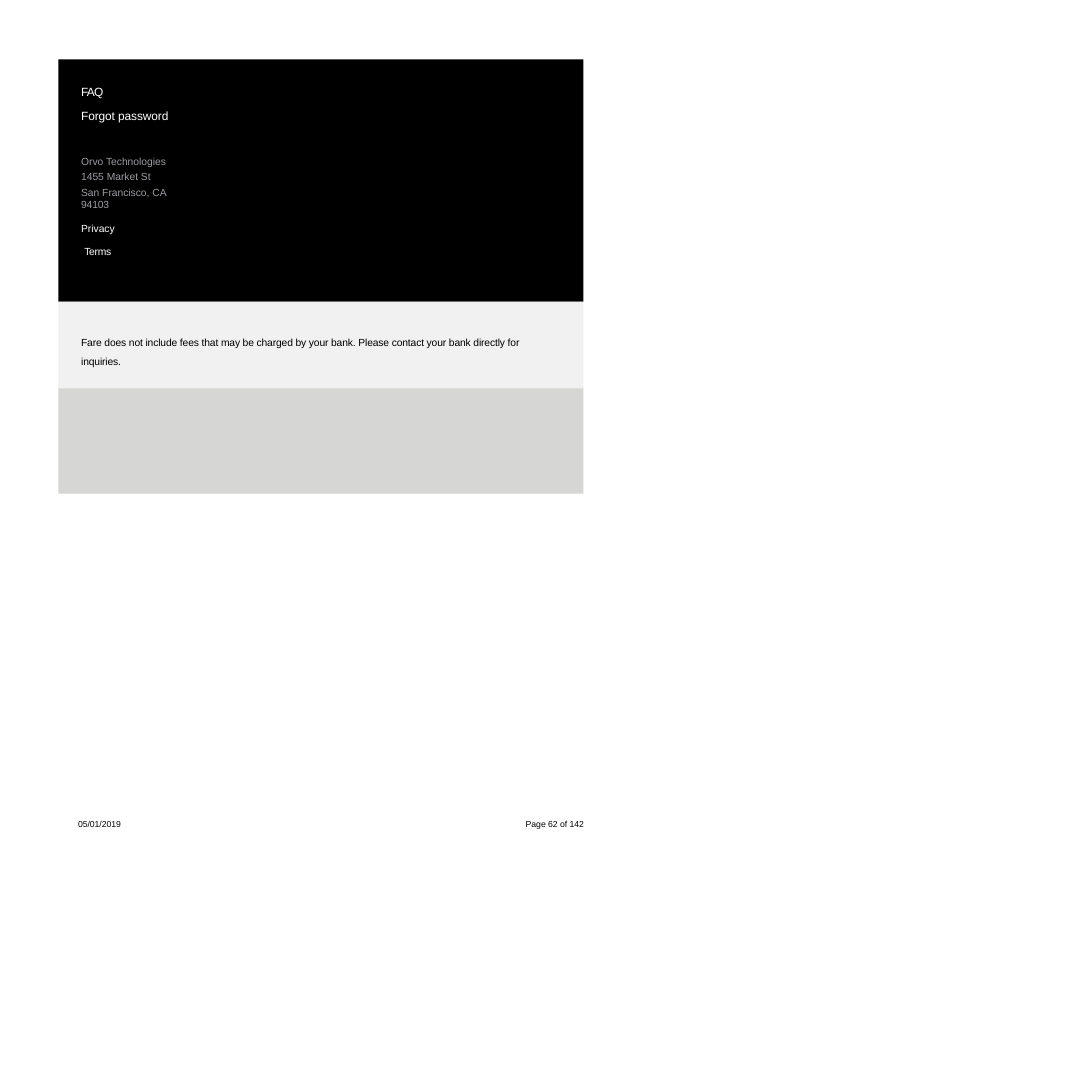
import pptx
import pptx.dml.color
import pptx.enum.shapes
import pptx.enum.text
import pptx.util
from pptx.util import Inches

COLORS = {
    "black": "000000",
    "white": "FFFFFF",
    "address": "9D9DA3",
    "notice": "F1F1F1",
    "band": "D6D6D5",
}
PANEL_LEFT, PANEL_WIDTH = 0.75, 6.73

# Text, size, colour, space before, left indent in inches, letter spacing
FOOTER_LINES = [
    ("FAQ", 11, "white", 0, 0, -0.7),
    ("Forgot password", 11, "white", 9.1, 0, -0.1),
    ("Orvo Technologies", 9.5, "address", 29.7, 0, 0),
    ("1455 Market St", 9.5, "address", 2.9, 0, 0),
    ("San Francisco, CA", 9.5, "address", 2.9, 0, 0),
    ("94103", 9.5, "address", 0, 0, -0.1),
    ("Privacy", 9.5, "white", 10.5, 0, 0),
    ("Terms", 9.5, "white", 10.2, 0.04, -0.2),
]
NOTICE = ("Fare does not include fees that may be charged by your bank. "
          "Please contact your bank directly for inquiries.")


def rgb(name):
    return pptx.dml.color.RGBColor.from_string(COLORS[name])


def style_paragraph(para, size, color, before=0, spacing=0):
    para.alignment = pptx.enum.text.PP_ALIGN.LEFT
    para.space_before = pptx.util.Pt(before)
    for span in para.runs:
        span.font.name = "Arial"
        span.font.size = pptx.util.Pt(size)
        span.font.color.rgb = rgb(color)
        span.font._element.set("spc", str(round(spacing * 100)))


def set_frame(frame, left=0, top=0, right=0, wrap=True):
    frame.margin_left, frame.margin_top = Inches(left), Inches(top)
    frame.margin_right, frame.margin_bottom = Inches(right), 0
    frame.vertical_anchor = pptx.enum.text.MSO_ANCHOR.TOP
    frame.auto_size = pptx.enum.text.MSO_AUTO_SIZE.NONE
    frame.word_wrap = wrap


def add_panel(page, top, height, color):
    panel = page.shapes.add_shape(
        pptx.enum.shapes.MSO_SHAPE.RECTANGLE, Inches(PANEL_LEFT),
        Inches(top), Inches(PANEL_WIDTH), Inches(height))
    panel.shadow.inherit = False
    panel.fill.solid()
    panel.fill.fore_color.rgb = rgb(color)
    panel.line.fill.background()
    return panel


def fill_list(page, body):
    body.left, body.top = Inches(1.04), Inches(1.06)
    body.width, body.height = Inches(1.52), Inches(2.4)
    frame = body.text_frame
    set_frame(frame, top=0.02)
    frame.text = "\n".join(line[0] for line in FOOTER_LINES)
    for para, line in zip(frame.paragraphs, FOOTER_LINES):
        text, size, color, before, indent, spacing = line
        properties = para._p.get_or_add_pPr()
        properties.set("marL", str(Inches(indent)))
        properties.set("indent", "0")
        pptx.oxml.ns.qn("a:buNone")
        properties.append(pptx.oxml.parse_xml(
            "<a:buNone %s/>" % pptx.oxml.ns.nsdecls("a")))
        style_paragraph(para, size, color, before, spacing)
    # Bring the list in front of the panels
    page.shapes._spTree.append(body._element)


def add_notice(page):
    panel = add_panel(page, 3.87, 1.11, "notice")
    frame = panel.text_frame
    set_frame(frame, left=0.29, top=0.36, right=0.6)
    frame.text = NOTICE
    frame.paragraphs[0].line_spacing = 1.52
    style_paragraph(frame.paragraphs[0], 9.5, "black", spacing=-0.12)


def add_page_label(page, text, left, width):
    box = page.shapes.add_textbox(
        Inches(left), Inches(10.5), Inches(width), Inches(0.15))
    set_frame(box.text_frame, wrap=False)
    box.text_frame.text = text
    style_paragraph(box.text_frame.paragraphs[0], 8, "black", spacing=-0.05)


def main():
    deck = pptx.Presentation()
    deck.slide_width, deck.slide_height = Inches(14), Inches(13.9)
    page = deck.slides.add_slide(deck.slide_layouts[1])
    title, body = page.placeholders
    title._element.getparent().remove(title._element)

    # Stacked panels
    add_panel(page, 4.97, 1.36, "band")
    add_panel(page, 0.76, 3.11, "black")
    add_notice(page)

    # Links and address on the black panel
    fill_list(page, body)

    # Page footer
    add_page_label(page, "05/01/2019", 1, 0.58)
    add_page_label(page, "Page 62 of 142", 6.74, 0.78)
    deck.save("out.pptx")


if __name__ == "__main__":
    main()
